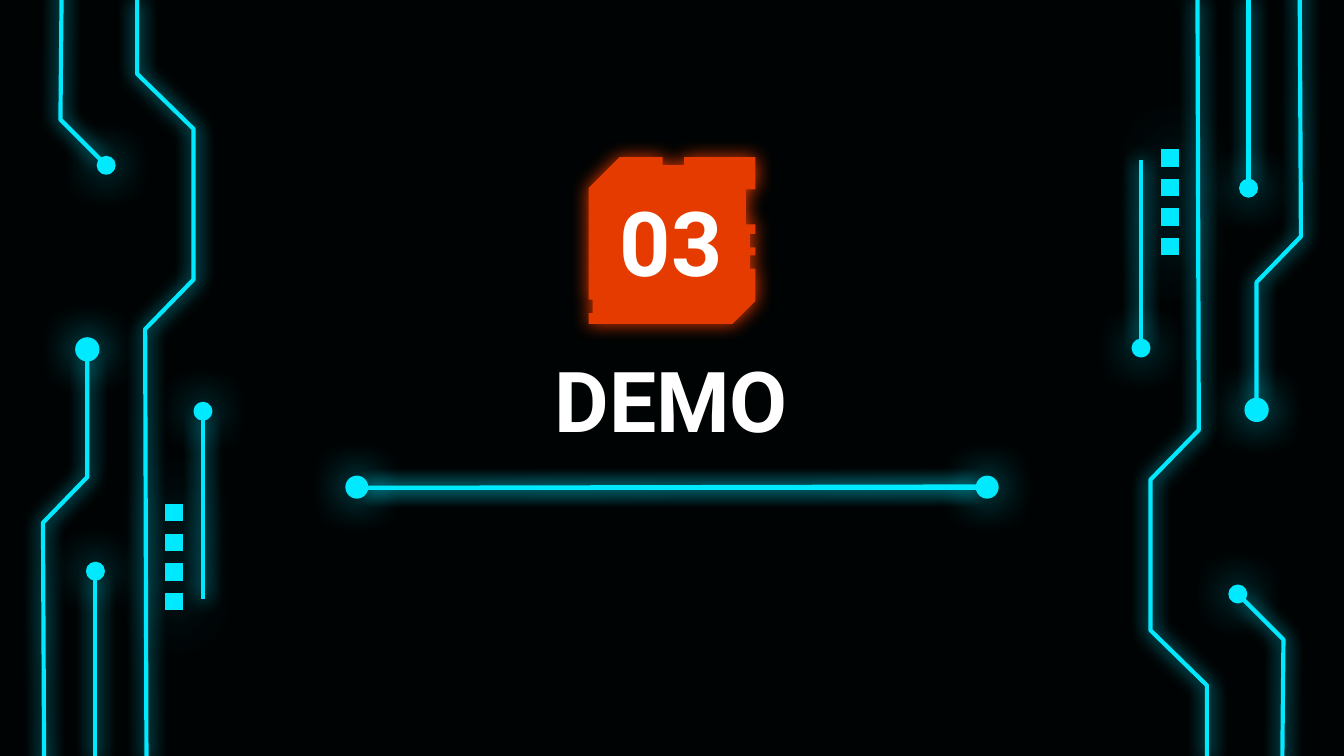
import pptx
import pptx.util
from lxml import etree
from pptx.dml.color import RGBColor
from pptx.enum.shapes import MSO_CONNECTOR, MSO_SHAPE
from pptx.enum.text import MSO_ANCHOR, MSO_AUTO_SIZE, PP_ALIGN
from pptx.oxml.ns import qn

BLACK = RGBColor(0x00, 0x03, 0x04)
CYAN = RGBColor(0x00, 0xE9, 0xFF)
ORANGE = RGBColor(0xE6, 0x3B, 0x00)
WHITE = RGBColor(0xFF, 0xFF, 0xFF)

deck = pptx.Presentation()
deck.slide_width = pptx.util.Inches(10)
deck.slide_height = pptx.util.Inches(5.625)
page = deck.slides.add_slide(deck.slide_layouts[5])
page.background.fill.solid()
page.background.fill.fore_color.rgb = BLACK

# Square grid: 100 columns across the slide, 56.25 rows down
CELL = deck.slide_width // 100


def style(shape, fill, line, width, blur, alpha=100, distance=0):
    """Set fill and line, then add a soft coloured glow."""
    if fill:
        shape.fill.solid()
        shape.fill.fore_color.rgb = fill
    elif hasattr(shape, "fill"):
        shape.fill.background()
    if line:
        shape.line.color.rgb = line
        shape.line.width = pptx.util.Pt(width)
    else:
        shape.line.fill.background()
    effects = etree.SubElement(shape._element.spPr, qn("a:effectLst"))
    shadow = etree.SubElement(
        effects, qn("a:outerShdw"), blurRad=str(pptx.util.Pt(blur)),
        dist=str(pptx.util.Pt(distance)), dir="0", algn="bl", rotWithShape="0")
    color = etree.SubElement(shadow, qn("a:srgbClr"), val=str(fill or line))
    etree.SubElement(color, qn("a:alpha"), val=str(alpha * 1000))


def outline(points, close):
    """Draw a freeform through grid points."""
    scaled = [(x * CELL, y * CELL) for x, y in points]
    builder = page.shapes.build_freeform(*scaled[0])
    builder.add_line_segments(scaled[1:], close=close)
    return builder.convert_to_shape()


# Circuit traces, dots (centre and size) and squares of the left side
traces = [
    [(10.9, 56.6), (10.8, 24.5), (14.4, 20.8), (14.4, 9.6), (10.2, 5.5), (10.2, 0)],
    [(7.1, 56.6), (7.1, 42.9)],
    [(4.6, -1.7), (4.5, 8.9), (7.5, 11.9)],
    [(3.3, 59.6), (3.2, 38.9), (6.5, 35.5), (6.5, 26.6)],
    [(15.1, 44.6), (15.1, 31)],
]
trace_dots = [(6.5, 26, 1.6), (7.9, 12.3, 1.2), (15.1, 30.6, 1.2), (7.1, 42.5, 1.2)]
SQUARE, SQUARE_STEP = 1.3, 2.2
squares = [(12.95, 38.15 + SQUARE_STEP * step) for step in range(4)]

# The right side is the left side turned by half a turn
dots = []
for turned in (False, True):
    def place(x, y):
        return (100 - x, 56.5 - y) if turned else (x, y)

    for trace in traces:
        style(outline([place(x, y) for x, y in trace], False), None, CYAN, 2.25, 10.1)
    for x, y, size in trace_dots:
        dots.append((*place(x, y), size))
    for x, y in squares:
        x, y = place(x, y)
        half = SQUARE / 2
        corners = [(x - half, y + half), (x + half, y + half),
                   (x + half, y - half), (x - half, y - half)]
        style(outline(corners, True), CYAN, None, 0, 36, 70, 1.5)

# Notched badge
badge = [
    (46.1, 11.7), (43.8, 14), (43.8, 22.3), (44.1, 22.3), (44.1, 23.3), (43.8, 23.3),
    (43.8, 24.1), (54.5, 24.1), (56.2, 22.4), (56.2, 20), (55.8, 20), (55.8, 19),
    (56.2, 19), (56.2, 18.4), (55.8, 18.4), (55.8, 17.4), (56.2, 17.4), (56.2, 16.7),
    (55.5, 16.7), (55.5, 14.1), (56.2, 14.1), (56.2, 11.7), (50.9, 11.7), (50.9, 12.3),
    (49.3, 12.3), (49.3, 11.7),
]
style(outline(badge, True), ORANGE, None, 0, 10.1)

# Title and section number
title = page.shapes.title
number = page.shapes.add_textbox(0, 0, CELL, CELL)
for box, text, top, height, size in ((title, "DEMO", 26, 7.4, 45),
                                     (number, "03", 13.4, 9, 48)):
    box.left, box.top = int(24.1 * CELL), int(top * CELL)
    box.width, box.height = int(51.7 * CELL), int(height * CELL)
    frame = box.text_frame
    frame.word_wrap = True
    frame.auto_size = MSO_AUTO_SIZE.NONE
    frame.vertical_anchor = MSO_ANCHOR.MIDDLE
    frame.margin_left = frame.margin_right = CELL
    frame.margin_top = frame.margin_bottom = CELL
    frame.text = text
    para = frame.paragraphs[0]
    para.alignment = PP_ALIGN.CENTER
    para.font.name = "Roboto"
    para.font.size = pptx.util.Pt(size)
    para.font.bold = True
    para.font.color.rgb = WHITE

# Double underline, its second stroke level
for end_row in (36.2, 36.3):
    underline = page.shapes.add_connector(
        MSO_CONNECTOR.STRAIGHT, int(27.3 * CELL), int(36.3 * CELL),
        int(72.7 * CELL), int(end_row * CELL))
    style(underline, None, CYAN, 2.25, 10.1)

# Dots of the traces and of the underline
dots += [(26.55, 36.25, 1.5), (73.45, 36.25, 1.5)]
for x, y, size in dots:
    dot = page.shapes.add_shape(
        MSO_SHAPE.OVAL, int((x - size / 2) * CELL), int((y - size / 2) * CELL),
        int(size * CELL), int(size * CELL))
    style(dot, CYAN, CYAN, 1.5, 22.5)

deck.save("out.pptx")
